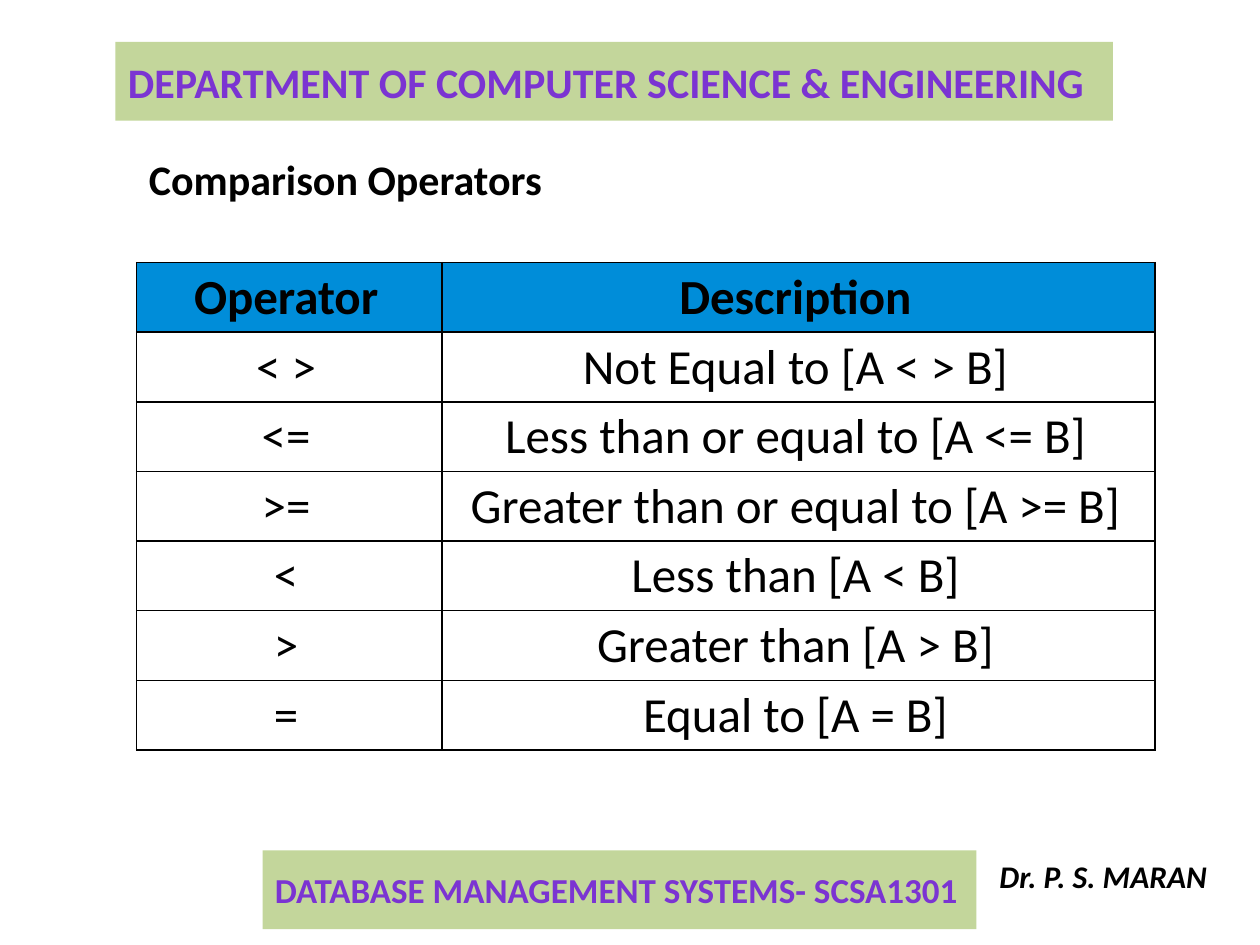
import pptx
import pptx.util
import pptx.oxml
import pptx.dml.color
import pptx.enum.shapes
import pptx.enum.text
from dataclasses import dataclass

Pt = pptx.util.Pt
Anchor = pptx.enum.text.MSO_ANCHOR
NS = "http://schemas.openxmlformats.org/drawingml/2006/main"


@dataclass
class Theme:
    face: str = "Calibri"
    ink: str = "000000"
    band: str = "C3D69B"
    title: str = "7B34D2"
    head: str = "008DD9"
    small: int = 18
    foot: int = 20
    large: int = 24
    cell: int = 28


def color(code):
    return pptx.dml.color.RGBColor.from_string(code)


class Page:
    def __init__(self, slide, theme):
        self.slide = slide
        self.theme = theme

    def text(self, frame, words, size, code, bold=True, italic=False):
        frame.text = words
        font = frame.paragraphs[0].runs[0].font
        font.name = self.theme.face
        font.size = Pt(size)
        font.bold = bold
        font.italic = italic
        font.color.rgb = color(code)

    def band(self, box, words, size):
        shape = self.slide.shapes.add_shape(
            pptx.enum.shapes.MSO_SHAPE.RECTANGLE, *map(Pt, box))
        shape.shadow.inherit = False
        shape.fill.solid()
        shape.fill.fore_color.rgb = color(self.theme.band)
        shape.line.fill.background()
        frame = shape.text_frame
        frame.vertical_anchor = Anchor.MIDDLE
        self.text(frame, words, size, self.theme.title)
        frame.paragraphs[0].alignment = pptx.enum.text.PP_ALIGN.LEFT

    def label(self, box, words, size, italic=False):
        frame = self.slide.shapes.add_textbox(*map(Pt, box)).text_frame
        frame.word_wrap = False
        frame.auto_size = pptx.enum.text.MSO_AUTO_SIZE.SHAPE_TO_FIT_TEXT
        self.text(frame, words, size, self.theme.ink, italic=italic)

    def border(self, cell):
        props = cell._tc.get_or_add_tcPr()
        for side in ("lnL", "lnR", "lnT", "lnB"):
            props.append(pptx.oxml.parse_xml(
                f'<a:{side} xmlns:a="{NS}" w="{Pt(1)}"><a:solidFill>'
                f'<a:srgbClr val="{self.theme.ink}"/>'
                f'</a:solidFill></a:{side}>'))

    def table(self, spot, widths, height, rows):
        table = self.slide.shapes.add_table(
            len(rows), len(widths), *map(Pt, spot),
            Pt(sum(widths)), Pt(height * len(rows))).table
        table.first_row = table.horz_banding = False
        for col, width in zip(table.columns, widths):
            col.width = Pt(width)
        for r, row in enumerate(rows):
            table.rows[r].height = Pt(height)
            for c, words in enumerate(row):
                self.cell(table.cell(r, c), words, r == 0)

    def cell(self, cell, words, head):
        cell.margin_left = cell.margin_top = cell.margin_bottom = Pt(3)
        cell.margin_right = Pt(6.5)
        cell.vertical_anchor = Anchor.MIDDLE
        self.border(cell)
        if head:
            cell.fill.solid()
            cell.fill.fore_color.rgb = color(self.theme.head)
        else:
            cell.fill.background()
        self.text(cell.text_frame, words, self.theme.cell, self.theme.ink, head)
        para = cell.text_frame.paragraphs[0]
        para.alignment = pptx.enum.text.PP_ALIGN.CENTER


def main():
    deck = pptx.Presentation()
    deck.slide_width, deck.slide_height = Pt(720), Pt(540)
    theme = Theme()
    page = Page(deck.slides.add_slide(deck.slide_layouts[6]), theme)

    page.band((150, 486, 408, 45),
              "DATABASE MANAGEMENT SYSTEMS- SCSA1301", theme.foot)
    page.label((564, 486, 134.5, 29), "Dr. P. S. MARAN", theme.small, True)
    page.band((66, 24, 570, 45),
              "DEPARTMENT OF COMPUTER SCIENCE & ENGINEERING", theme.large)
    page.table((78, 150), (174.5, 407.5), 39.8, [
        ("Operator", "Description"),
        ("< >", "Not Equal to [A < > B]"),
        ("<=", "Less than or equal to [A <= B]"),
        (">=", "Greater than or equal to [A >= B]"),
        ("<", "Less than [A < B]"),
        (">", "Greater than [A > B]"),
        ("=", "Equal to [A = B]"),
    ])
    page.label((78, 84, 241, 36), "Comparison Operators", theme.large)
    deck.save("out.pptx")


if __name__ == "__main__":
    main()
